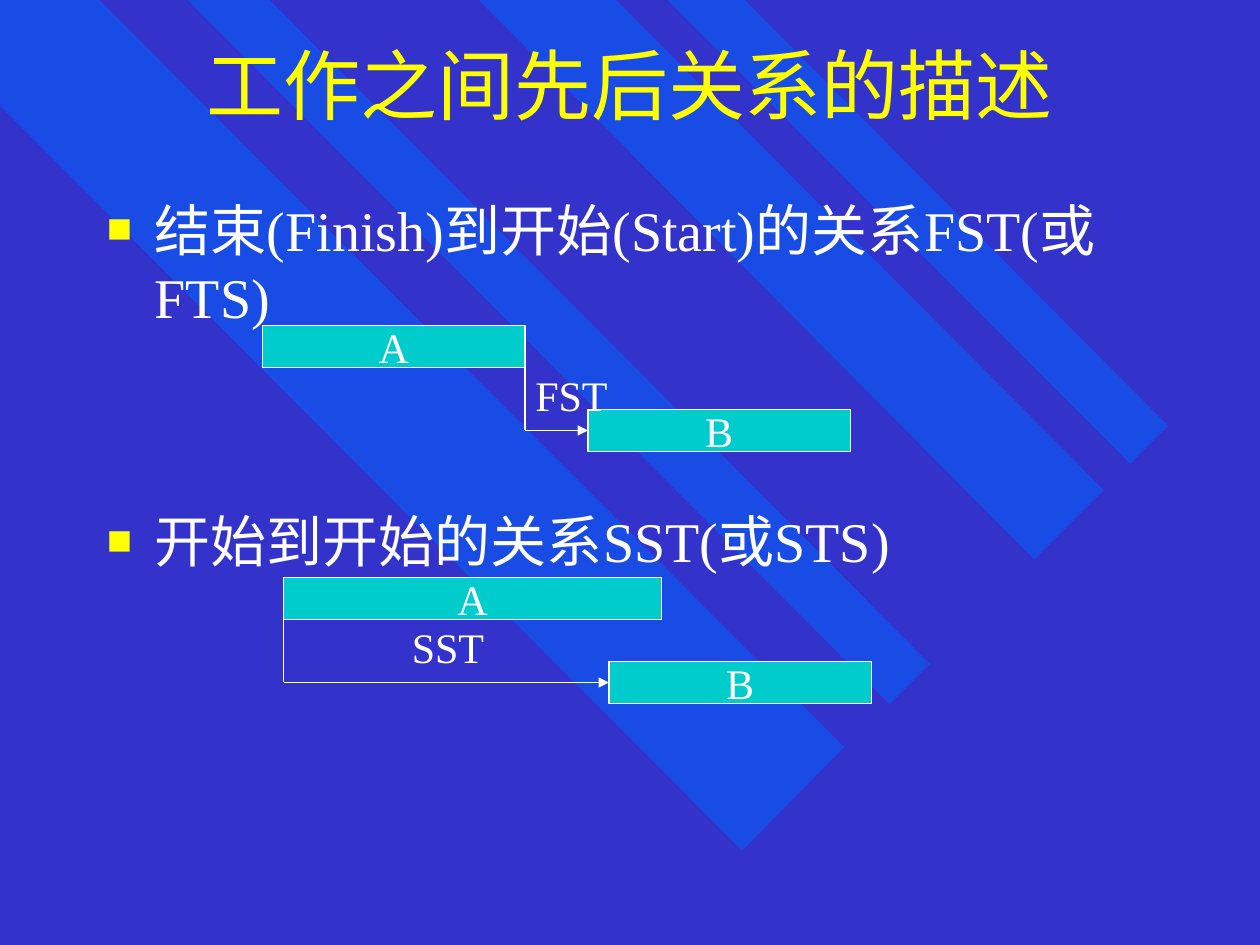
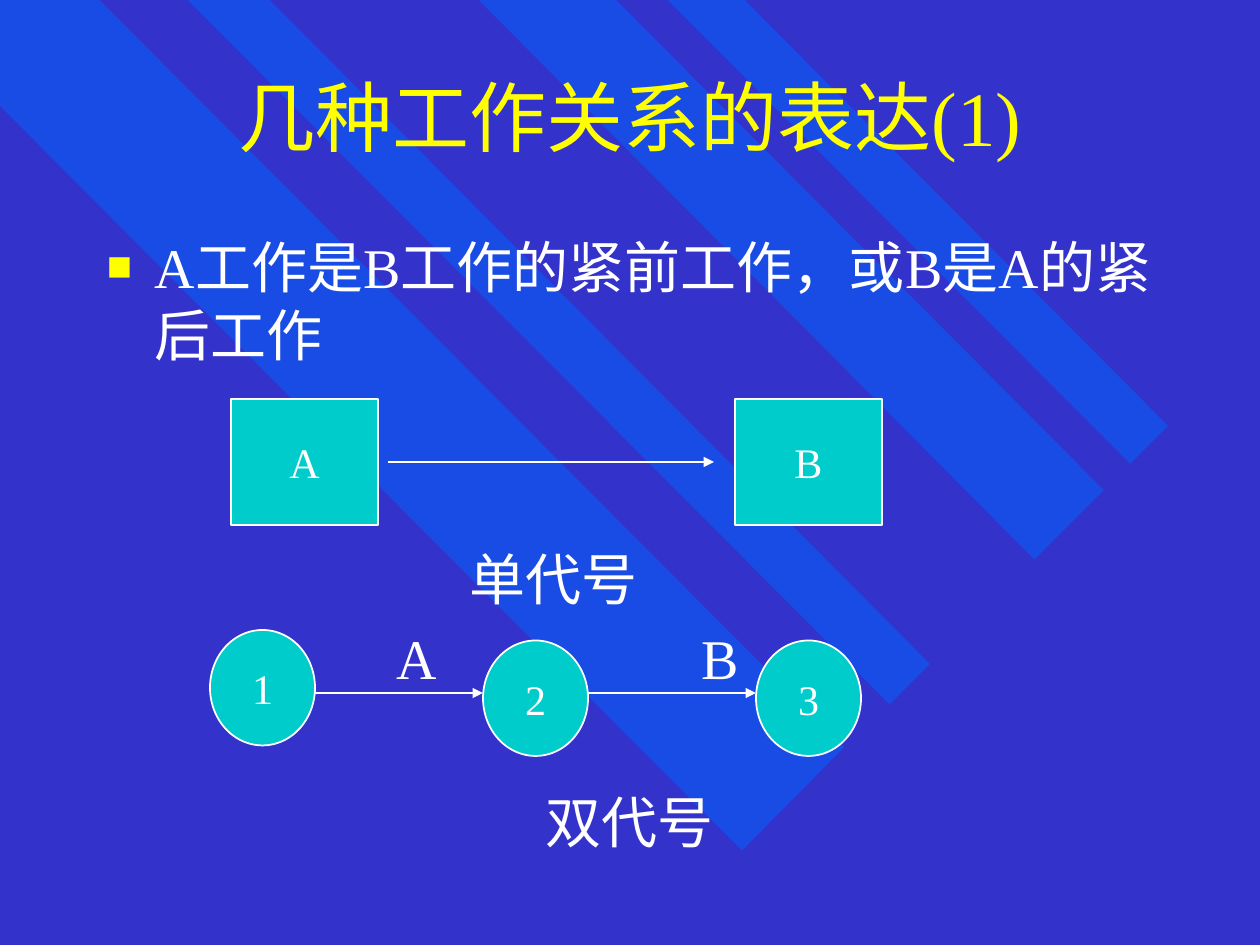
"""Build two slides on precedence relations between tasks."""
from lxml.etree import SubElement
from pptx import Presentation
from pptx.dml.color import RGBColor
from pptx.enum.shapes import MSO_CONNECTOR, MSO_SHAPE
from pptx.enum.text import MSO_ANCHOR, PP_ALIGN
from pptx.oxml.ns import qn
from pptx.util import Inches, Pt

BACKGROUND = RGBColor(0x33, 0x33, 0xCC)
BAND = RGBColor(0x00, 0x66, 0xFF)
YELLOW = RGBColor(0xFF, 0xFF, 0x00)
WHITE = RGBColor(0xFF, 0xFF, 0xFF)
TEAL = RGBColor(0x00, 0xCC, 0xCC)
FONT = "Times New Roman"
TITLE_SIZE, BODY_SIZE, LABEL_SIZE = 44, 32, 24
MARGIN, BODY_WIDTH = 0.75, 8.5
CELL = 1 / 12

BANDS = [
    [(6.7, 5.93), (0.79, 0), (0, 0), (0, 0.84), (5.89, 6.75)],
    [(2.14, 0), (7.38, 5.27), (7.06, 5.59), (1.49, 0)],
    [(4.89, 0), (8.76, 3.89), (8.21, 4.44), (3.8, 0)],
    [(5.3, 0), (8.97, 3.68), (9.27, 3.38), (5.91, 0)],
]

RELATIONS = {
    "title": ("工作之间先后关系的描述", 0),
    "bullets": [
        ("结束(Finish)到开始(Start)的关系FST(或FTS)", 1.5),
        ("开始到开始的关系SST(或STS)", 3.97),
    ],
    "bars": [
        {"A": (25, 31, 25), "B": (56, 39, 25), "from_side": 3, "label": ("FST", 4.15, 2.88)},
        {"A": (27, 55, 36), "B": (58, 63, 25), "from_side": 1, "label": ("SST", 3.17, 4.88)},
    ],
}

NETWORKS = {
    "title": ("几种工作关系的表达(1)", 0.25),
    "bullets": [("A工作是B工作的紧前工作，或B是A的紧后工作", 1.8)],
    "captions": [("单代号", 3.63, 4.27), ("A", 3.05, 4.9), ("B", 5.47, 4.9), ("双代号", 4.23, 6.2)],
    "nodes": [
        ("A", MSO_SHAPE.RECTANGLE, (22, 38, 14, 12)),
        ("B", MSO_SHAPE.RECTANGLE, (70, 38, 14, 12)),
        ("1", MSO_SHAPE.OVAL, (20, 60, 10, 11)),
        ("2", MSO_SHAPE.OVAL, (46, 61, 10, 11)),
        ("3", MSO_SHAPE.OVAL, (72, 61, 10, 11)),
    ],
    "arrows": [((37, 44), (68, 44)), ((30, 66), (46, 66)), ((56, 66), (72, 66))],
}


def grid(*cells):
    return [Inches(cell * CELL) for cell in cells]


def format_text(text_frame, text, size, color=WHITE, align=PP_ALIGN.LEFT):
    text_frame.text = text
    paragraph = text_frame.paragraphs[0]
    paragraph.alignment = align
    font = paragraph.runs[0].font
    font.name, font.size, font.color.rgb = FONT, Pt(size), color
    return paragraph


def add_text(slide, text, left, top, width, height, size, wrap=True, **style):
    box = slide.shapes.add_textbox(*map(Inches, (left, top, width, height)))
    box.text_frame.word_wrap = wrap
    return box, format_text(box.text_frame, text, size, **style)


def add_bullet(slide, text, top):
    paragraph = add_text(slide, text, MARGIN, top, BODY_WIDTH, 1.2, BODY_SIZE)[1]
    properties = paragraph._p.get_or_add_pPr()
    properties.set("marL", str(Inches(0.38)))
    properties.set("indent", str(-Inches(0.38)))
    color = SubElement(properties, qn("a:buClr"))
    SubElement(color, qn("a:srgbClr"), val=str(YELLOW))
    SubElement(properties, qn("a:buSzPct"), val="75000")
    SubElement(properties, qn("a:buFont"), typeface=FONT)
    SubElement(properties, qn("a:buChar"), char="■")


def add_node(slide, text, kind, cells):
    node = slide.shapes.add_shape(kind, *grid(*cells))
    node.shadow.inherit = False
    node.fill.solid()
    node.fill.fore_color.rgb = TEAL
    node.line.color.rgb = WHITE
    node.line.width = Pt(1)
    node.text_frame.word_wrap = False
    node.text_frame.vertical_anchor = MSO_ANCHOR.MIDDLE
    format_text(node.text_frame, text, LABEL_SIZE, align=PP_ALIGN.CENTER)
    return node


def add_line(slide, start, end, arrow=False):
    line = slide.shapes.add_connector(MSO_CONNECTOR.STRAIGHT, *grid(*start, *end))
    line.line.color.rgb = WHITE
    line.line.width = Pt(1)
    if arrow:
        SubElement(line.line._get_or_add_ln(), qn("a:tailEnd"), type="triangle")
    SubElement(line._element.spPr, qn("a:effectLst"))
    return line


def add_bars(slide, relation):
    bars = {name: add_node(slide, name, MSO_SHAPE.RECTANGLE, (*relation[name], 4)) for name in "AB"}
    left, top, width = relation["A"]
    side = relation["from_side"]
    turn_x = left + width if side == 3 else left
    target_x, target_y = relation["B"][0], relation["B"][1] + 2
    drop = add_line(slide, (turn_x, top + 2), (turn_x, target_y))
    drop.begin_connect(bars["A"], side)
    arrow = add_line(slide, (turn_x, target_y), (target_x, target_y), arrow=True)
    arrow.end_connect(bars["B"], 1)
    label, x, y = relation["label"]
    add_text(slide, label, x, y, 1, 0.5, LABEL_SIZE)


def add_band(slide, points):
    start, *rest = [tuple(map(Inches, point)) for point in points]
    builder = slide.shapes.build_freeform(*start)
    builder.add_line_segments(rest)
    band = builder.convert_to_shape()
    band.shadow.inherit = False
    band.line.fill.background()
    band.fill.solid()
    band.fill.fore_color.rgb = BAND
    color = band._element.spPr.find(qn("a:solidFill"))[0]
    SubElement(color, qn("a:alpha"), val="50000")


def add_slide(presentation, content):
    slide = presentation.slides.add_slide(presentation.slide_layouts[6])
    slide.background.fill.solid()
    slide.background.fill.fore_color.rgb = BACKGROUND
    for points in BANDS:
        add_band(slide, points)
    title, top = content["title"]
    box, _ = add_text(slide, title, MARGIN, top, BODY_WIDTH, 1.33, TITLE_SIZE,
                      color=YELLOW, align=PP_ALIGN.CENTER)
    box.text_frame.vertical_anchor = MSO_ANCHOR.MIDDLE
    for text, top in content["bullets"]:
        add_bullet(slide, text, top)
    for text, left, top in content.get("captions", []):
        add_text(slide, text, left, top, 0.2 + 0.45 * len(text), 0.63, BODY_SIZE, wrap=False)
    for relation in content.get("bars", []):
        add_bars(slide, relation)
    for node in content.get("nodes", []):
        add_node(slide, *node)
    for start, end in content.get("arrows", []):
        add_line(slide, start, end, arrow=True)


def main():
    presentation = Presentation()
    presentation.slide_width, presentation.slide_height = Inches(10), Inches(7.5)
    for content in (RELATIONS, NETWORKS):
        add_slide(presentation, content)
    presentation.save("out.pptx")


if __name__ == "__main__":
    main()
